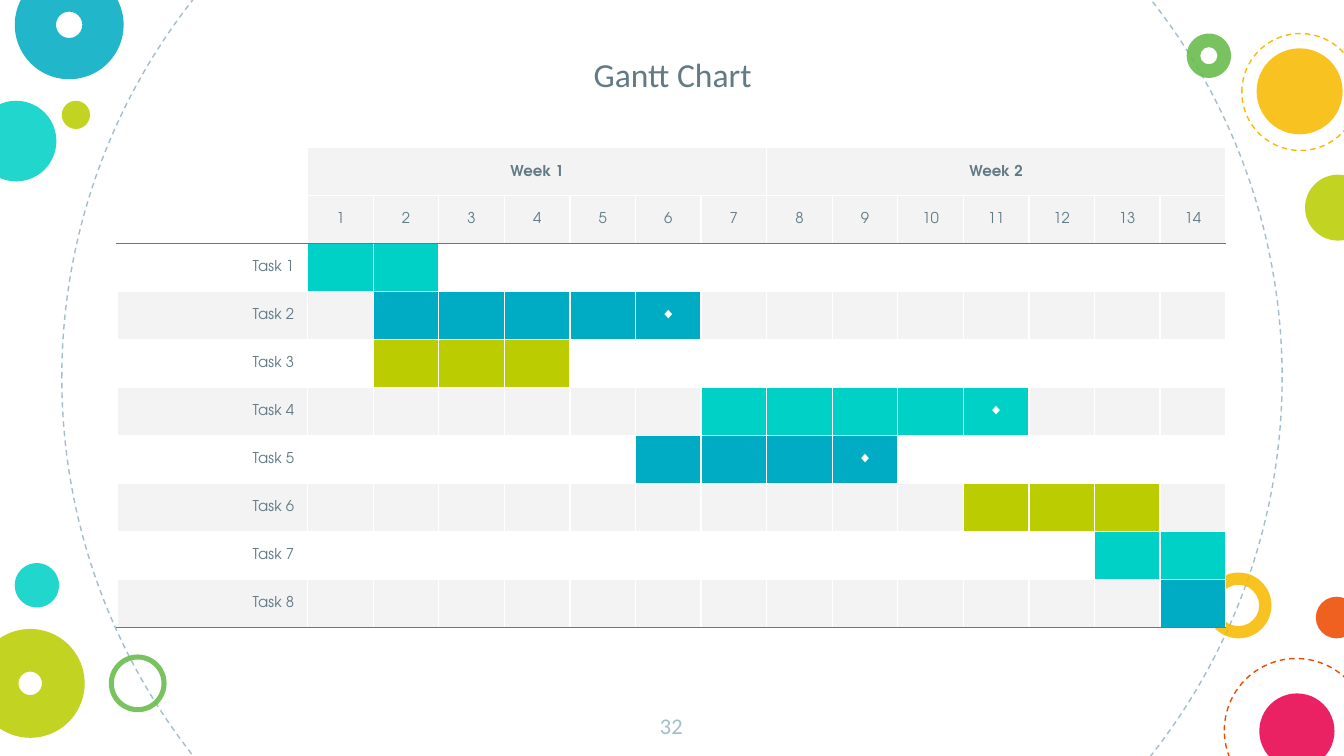
from lxml.etree import SubElement
from pptx import Presentation
from pptx.dml.color import RGBColor
from pptx.enum.dml import MSO_LINE
from pptx.enum.shapes import MSO_SHAPE
from pptx.enum.text import MSO_ANCHOR, PP_ALIGN
from pptx.oxml import parse_xml
from pptx.oxml.ns import nsdecls, qn
from pptx.util import Inches, Pt

TEAL = RGBColor(0x00, 0xD1, 0xC6)
BLUE = RGBColor(0x00, 0xAC, 0xC3)
LIME = RGBColor(0xBB, 0xCD, 0x00)
GREEN = RGBColor(0x65, 0xBB, 0x48)
YELLOW = RGBColor(0xF8, 0xBB, 0x00)
ORANGE = RGBColor(0xED, 0x4A, 0x00)
PINK = RGBColor(0xE8, 0x00, 0x4C)
MIST = RGBColor(0xA1, 0xBE, 0xCC)
SLATE = RGBColor(0x61, 0x7A, 0x86)
GREY = RGBColor(0xF3, 0xF3, 0xF3)
WHITE = RGBColor(0xFF, 0xFF, 0xFF)

TITLE_FONT = "Calibri"
TABLE_FONT = "TeX Gyre Adventor"

# Slide in 16:9
SLIDE_W = 10
SLIDE_H = SLIDE_W * 9 / 16

# Table grid
TABLE_LEFT, TABLE_TOP = 0.87, 1.1
TABLE_W, TABLE_H, LABEL_W = 8.25, 3.57, 1.42
WEEKS, DAYS_PER_WEEK, HEADER_ROWS = 2, 7, 2
DAYS = WEEKS * DAYS_PER_WEEK

# First day, last day, colour, milestone on the last day
TASKS = [
    (1, 2, TEAL, False),
    (2, 6, BLUE, True),
    (2, 4, LIME, False),
    (7, 11, TEAL, True),
    (6, 9, BLUE, True),
    (11, 13, LIME, False),
    (13, 14, TEAL, False),
    (14, 14, BLUE, False),
]

# Left, top, diameter, colour
DASHED_RINGS = [
    (0.46, -1.73, 9.08, MIST),
    (9.11, 4.9, 1.07, ORANGE),
    (9.24, 0.25, 0.87, YELLOW),
]
# Left, top, diameter, colour, ring thickness (None for a disc)
DOTS = [
    (-0.18, 0.75, 0.6, TEAL, None),
    (8.97, 4.26, 0.49, YELLOW, 0.186),
    (0.11, -0.22, 0.81, BLUE, 0.379),
    (0.46, 0.75, 0.21, LIME, None),
    (0.81, 4.87, 0.43, GREEN, 0.088),
    (9.79, 4.44, 0.31, ORANGE, None),
    (-0.18, 4.68, 0.81, LIME, 0.392),
    (9.37, 5.16, 0.56, PINK, None),
    (8.83, 0.25, 0.33, GREEN, 0.306),
    (9.35, 0.36, 0.64, YELLOW, None),
    (9.71, 1.3, 0.49, LIME, None),
    (0.11, 4.19, 0.33, TEAL, None),
]


def add_round(s, kind, left, top, size):
    sp = s.shapes.add_shape(kind, Inches(left), Inches(top), Inches(size), Inches(size))
    sp.shadow.inherit = False
    return sp


def add_dashed_ring(s, left, top, size, color):
    sp = add_round(s, MSO_SHAPE.OVAL, left, top, size)
    sp.fill.background()
    sp.line.color.rgb = color
    sp.line.width = Pt(0.75)
    sp.line.dash_style = MSO_LINE.DASH


def add_dot(s, left, top, size, color, ring):
    sp = add_round(s, MSO_SHAPE.DONUT if ring else MSO_SHAPE.OVAL, left, top, size)
    if ring:
        sp.adjustments[0] = ring
    sp.fill.solid()
    sp.fill.fore_color.rgb = color
    sp.line.fill.background()
    clr = sp.fill._xPr.find(qn("a:solidFill"))[0]
    SubElement(clr, qn("a:alpha"), val="87000")


def set_text(tf, text, size, font, color, align=PP_ALIGN.CENTER, bold=False):
    tf.text = text
    p = tf.paragraphs[0]
    p.alignment = align
    f = p.runs[0].font
    f.size, f.name, f.bold = Pt(size), font, bold
    f.color.rgb = color


def set_borders(cell, top=WHITE, bottom=WHITE):
    tcPr = cell._tc.get_or_add_tcPr()
    sides = [("L", WHITE), ("R", WHITE), ("T", top), ("B", bottom)]
    for i, (side, color) in enumerate(sides):
        tcPr.insert(i, parse_xml(
            f'<a:ln{side} {nsdecls("a")} w="9525"><a:solidFill>'
            f'<a:srgbClr val="{color}"/></a:solidFill></a:ln{side}>'))


def format_cell(cell, fill=None, text="", color=SLATE, align=PP_ALIGN.CENTER, bold=False):
    if fill is None:
        cell.fill.background()
    else:
        cell.fill.solid()
        cell.fill.fore_color.rgb = fill
    cell.vertical_anchor = MSO_ANCHOR.MIDDLE
    if text:
        set_text(cell.text_frame, text, 8, TABLE_FONT, color, align, bold)
    else:
        # Small text size keeps an empty row from growing
        SubElement(cell.text_frame.paragraphs[0]._p, qn("a:endParaRPr"), sz="800")


def add_gantt(s):
    n_rows = HEADER_ROWS + len(TASKS)
    frame = s.shapes.add_table(n_rows, DAYS + 1, Inches(TABLE_LEFT), Inches(TABLE_TOP),
                               Inches(TABLE_W), Inches(TABLE_H))
    table = frame.table
    table.first_row = table.horz_banding = False
    for row in table.rows:
        row.height = Inches(TABLE_H / n_rows)
    for i, column in enumerate(table.columns):
        column.width = Inches((TABLE_W - LABEL_W) / DAYS if i else LABEL_W)

    # Week and day headers
    for r in range(HEADER_ROWS):
        format_cell(table.cell(r, 0))
    for day in range(1, DAYS + 1):
        week, offset = divmod(day - 1, DAYS_PER_WEEK)
        format_cell(table.cell(0, day), GREY, "" if offset else f"Week {week + 1}", bold=True)
        format_cell(table.cell(1, day), GREY, str(day))
    for first in range(1, DAYS + 1, DAYS_PER_WEEK):
        table.cell(0, first).merge(table.cell(0, first + DAYS_PER_WEEK - 1))

    # Task bars on banded rows
    for i, (start, end, color, milestone) in enumerate(TASKS):
        r, band = HEADER_ROWS + i, GREY if i % 2 else None
        format_cell(table.cell(r, 0), band, f"Task {i + 1}", align=PP_ALIGN.RIGHT)
        for day in range(1, DAYS + 1):
            mark = "◆" if milestone and day == end else ""
            format_cell(table.cell(r, day), color if start <= day <= end else band, mark, WHITE)

    # Rules under the header and under the last task
    for r in range(n_rows):
        for c in range(DAYS + 1):
            set_borders(table.cell(r, c),
                        top=SLATE if r == HEADER_ROWS else WHITE,
                        bottom=SLATE if r in (HEADER_ROWS - 1, n_rows - 1) else WHITE)


def place_text(sp, left, top, width, height, anchor):
    sp.left, sp.top, sp.width, sp.height = map(Inches, (left, top, width, height))
    tf = sp.text_frame
    tf.word_wrap = True
    tf.vertical_anchor = anchor
    tf.margin_left = tf.margin_right = tf.margin_top = tf.margin_bottom = Inches(0.1)
    return tf


def main():
    prs = Presentation()
    prs.slide_width, prs.slide_height = Inches(SLIDE_W), Inches(SLIDE_H)
    s = prs.slides.add_slide(prs.slide_layouts[5])

    # Decoration
    for ring in DASHED_RINGS:
        add_dashed_ring(s, *ring)
    for dot in DOTS:
        add_dot(s, *dot)

    # Page number, chart and title
    number = s.shapes.add_textbox(0, 0, 0, 0)
    tf = place_text(number, 4.74, 5.2, 0.51, 0.43, MSO_ANCHOR.TOP)
    set_text(tf, "32", 12, TITLE_FONT, MIST)
    add_gantt(s)
    tf = place_text(s.shapes.title, 2.12, 0.1, 5.77, 0.7, MSO_ANCHOR.BOTTOM)
    set_text(tf, "Gantt Chart", 18, TITLE_FONT, SLATE)

    prs.save("out.pptx")


if __name__ == "__main__":
    main()
